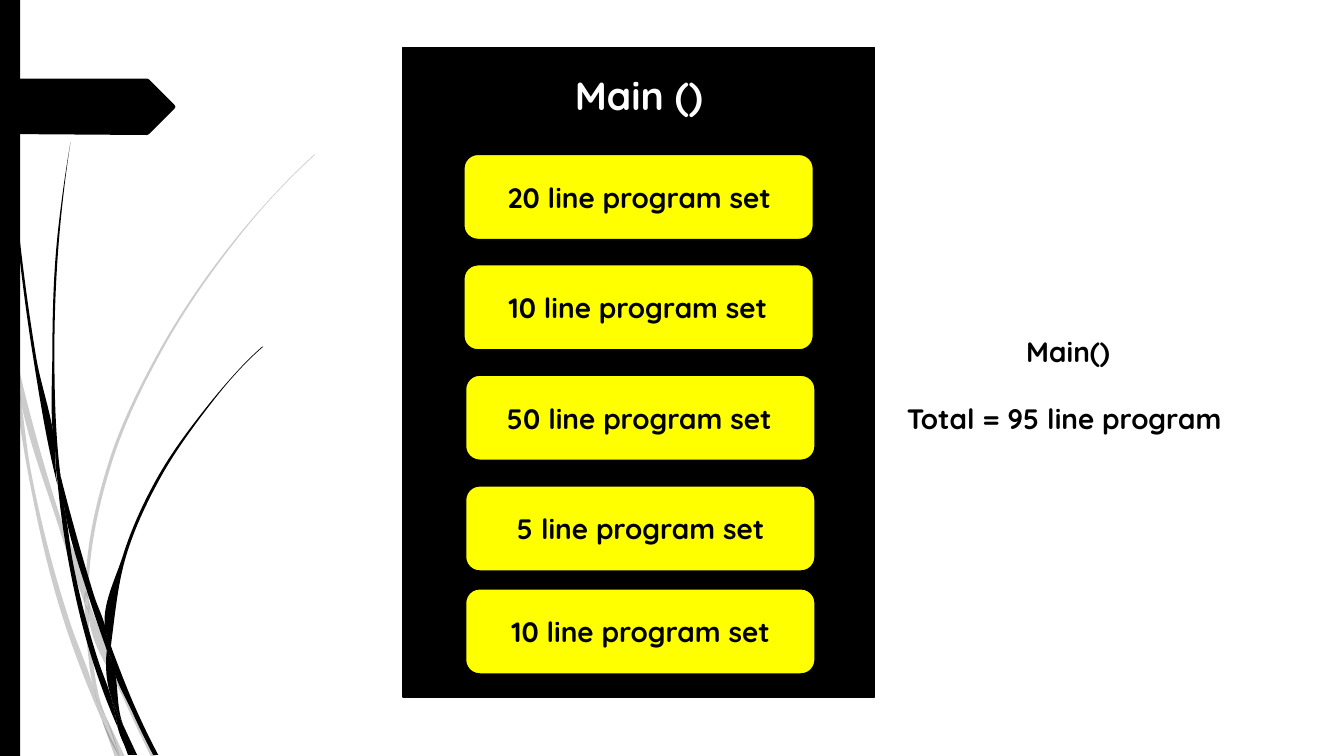
from itertools import chain
from math import dist

from lxml import etree
from pptx import Presentation
from pptx import util as u
from pptx.dml.color import RGBColor
from pptx.enum import shapes, text
from pptx.oxml import ns

WIDTH, HEIGHT = u.Inches(13.33), u.Inches(7.5)
CELL = HEIGHT / 750  # outlines are plotted on a grid of 750 rows
BLACK, WHITE, YELLOW = "000000", "FFFFFF", "FFFF00"
FONT = "Quicksand"

# Program sets: label, card left, card top, label left (percent of the slide)
PROGRAM_SETS = [
    ("20 line program set", 34.5, 20.4, 34.6),
    ("10 line program set", 34.5, 35, 34.5),
    ("50 line program set", 34.63, 49.6, 34.6),
    ("5 line program set", 34.63, 64.25, 34.7),
    ("10 line program set", 34.63, 77.87, 34.7),
]

# Each blade has two edges, both from tip to root, in grid cells
PALE_BLADES = [
    ([(14, 345), (17, 376), (58, 522), (84, 599)],
     [(14, 345), (62, 520), (85, 586), (84, 599)]),
    ([(88, 596), (88, 610), (123, 694), (150, 751)],
     [(88, 596), (92, 607), (127, 692), (155, 751)]),
    ([(105, 711), (119, 751)], [(105, 711), (124, 751)]),
    ([(11, 350), (28, 470), (65, 621), (92, 693), (101, 714)],
     [(11, 350), (17, 376), (31, 469), (70, 619), (93, 683), (99, 707),
      (101, 714)]),
    ([(84, 599), (87, 646), (93, 683), (96, 692), (105, 711)],
     [(84, 599), (88, 608), (88, 610), (91, 646), (103, 706), (105, 711)]),
    ([(312, 153), (289, 175), (268, 197), (228, 244), (158, 348), (107, 461),
      (85, 584), (85, 586), (88, 596)],
     [(312, 154), (290, 175), (268, 198), (229, 245), (160, 349), (110, 462),
      (88, 584), (88, 596)]),
    ([(101, 714), (114, 751)], [(101, 714), (119, 751)]),
    ([(85, 586), (84, 599), (88, 608), (88, 610)],
     [(85, 586), (88, 596), (88, 610)]),
    ([(93, 683), (99, 707), (101, 714), (119, 751)],
     [(93, 683), (96, 692), (105, 711), (119, 751)]),
]
DARK_BLADES = [
    ([(3, 0), (4, 48), (7, 110), (17, 233), (33, 355), (56, 477), (57, 481)],
     [(4, 0), (5, 48), (8, 109), (19, 232), (36, 355), (55, 453), (55, 457),
      (57, 481)]),
    ([(60, 472), (64, 505), (88, 592), (106, 645)],
     [(60, 472), (93, 590), (106, 631), (106, 645)]),
    ([(110, 641), (111, 656), (132, 708), (152, 749)],
     [(110, 641), (113, 649), (136, 706), (157, 749)]),
    ([(57, 477), (68, 557), (93, 659), (111, 708), (117, 722)],
     [(57, 477), (64, 505), (72, 556), (98, 657), (110, 691), (116, 717),
      (117, 722)]),
    ([(70, 141), (62, 193), (56, 245), (52, 349), (55, 449), (60, 472)],
     [(70, 141), (63, 193), (58, 245), (54, 349), (58, 453), (60, 472)]),
    ([(122, 719), (133, 749)], [(122, 719), (136, 749)]),
    ([(55, 449), (55, 453), (57, 477), (64, 505)],
     [(55, 449), (60, 472), (64, 505)]),
    ([(260, 344), (245, 358), (231, 373), (204, 405), (156, 474), (122, 551),
      (106, 631), (110, 641)],
     [(261, 344), (245, 359), (231, 374), (205, 406), (158, 476), (125, 552),
      (111, 633), (110, 641)]),
    ([(117, 722), (127, 749)], [(117, 722), (131, 749)]),
    ([(106, 645), (110, 691), (116, 706), (122, 719)],
     [(106, 645), (109, 651), (111, 656), (121, 716), (122, 719)]),
    ([(106, 631), (106, 645), (109, 651), (111, 656)],
     [(106, 631), (110, 641), (111, 656)]),
    ([(110, 691), (116, 717), (117, 722), (130, 749)],
     [(110, 691), (116, 706), (122, 719), (133, 749)]),
]
POINTER = [(0, 78), (146, 78), (148, 79), (173, 104), (174, 106), (173, 108),
           (148, 133), (146, 134), (0, 133)]


def rgb(value):
    return RGBColor.from_string(value)


def place(left, top, width, height):
    """Turn percentages of the slide into lengths."""
    return (round(WIDTH * left / 100), round(HEIGHT * top / 100),
            round(WIDTH * width / 100), round(HEIGHT * height / 100))


def paint(shape, fill, line=None, opacity=100):
    shape.shadow.inherit = False
    shape.fill.solid()
    shape.fill.fore_color.rgb = rgb(fill)
    if opacity < 100:
        color = shape.fill._xPr.find(".//" + ns.qn("a:srgbClr"))
        etree.SubElement(color, ns.qn("a:alpha"), val=str(opacity * 1000))
    if line:
        shape.line.color.rgb = rgb(line)
        shape.line.width = u.Pt(1.25)
    else:
        shape.line.fill.background()


def add_block(slide, kind, box, fill, line=None):
    paint(slide.shapes.add_shape(kind, *place(*box)), fill, line)


def add_label(slide, lines, box, size=20, color=BLACK, gap=0):
    frame = slide.shapes.add_textbox(*place(*box)).text_frame
    frame.word_wrap = True
    frame.auto_size = text.MSO_AUTO_SIZE.SHAPE_TO_FIT_TEXT
    for index, line in enumerate(lines):
        paragraph = frame.add_paragraph() if index else frame.paragraphs[0]
        paragraph.alignment = text.PP_ALIGN.CENTER
        paragraph.space_before = u.Pt(gap if index else 0)
        run = paragraph.add_run()
        run.text = line
        run.font.name, run.font.size, run.font.bold = FONT, u.Pt(size), True
        run.font.color.rgb = rgb(color)


def add_outline(slide, points, opacity=100):
    corners = [(x * CELL, y * CELL) for x, y in points]
    builder = slide.shapes.build_freeform(*corners[0])
    builder.add_line_segments(corners[1:], close=True)
    outline = builder.convert_to_shape()
    paint(outline, BLACK, opacity=opacity)
    return outline


def slopes(values, lengths):
    """Smooth slope of one coordinate at each knot."""
    chords = [(b - a) / h for a, b, h in zip(values, values[1:], lengths)]
    if len(chords) == 1:
        return chords * 2
    inner = [(h1 * c0 + h0 * c1) / (h0 + h1) for c0, c1, h0, h1
             in zip(chords, chords[1:], lengths, lengths[1:])]
    return [2 * chords[0] - inner[0], *inner, 2 * chords[-1] - inner[-1]]


def bezier(knots):
    """Two control points and an end point for each span between knots."""
    lengths = [dist(a, b) for a, b in zip(knots, knots[1:])]
    tangents = list(zip(*(slopes(axis, lengths) for axis in zip(*knots))))
    for a, b, m, n, h in zip(knots, knots[1:], tangents, tangents[1:], lengths):
        yield tuple(p + s * h / 3 for p, s in zip(a, m))
        yield tuple(p - s * h / 3 for p, s in zip(b, n))
        yield b


def add_blade(slide, near_edge, far_edge, opacity):
    root = [far_edge[-1]] * 3 if near_edge[-1] != far_edge[-1] else []
    points = [near_edge[0],
              *chain(bezier(near_edge), root, bezier(far_edge[::-1]))]
    blade = add_outline(slide, points, opacity)
    spans = list(blade._element.iter(ns.qn("a:lnTo")))
    for first, second, end in zip(spans[::3], spans[1::3], spans[2::3]):
        curve = etree.Element(ns.qn("a:cubicBezTo"))
        first.addprevious(curve)
        for span in (first, second, end):
            curve.append(span[0])
            span.getparent().remove(span)


def add_decoration(slide):
    for blades, opacity in ((PALE_BLADES, 20), (DARK_BLADES, 100)):
        for near_edge, far_edge in blades:
            add_blade(slide, near_edge, far_edge, opacity)
    add_block(slide, shapes.MSO_SHAPE.RECTANGLE, (0, 0, 1.5, 100), BLACK)
    add_outline(slide, POINTER)


def add_program(slide):
    kinds = shapes.MSO_SHAPE
    add_block(slide, kinds.RECTANGLE, (30, 6.3, 35.07, 85.9), BLACK, BLACK)
    add_label(slide, ["Main ()"], (30, 8.75, 35.07, 7.6), size=28, color=WHITE)
    for name, left, top, label_left in PROGRAM_SETS:
        add_block(slide, kinds.ROUNDED_RECTANGLE, (left, top, 26.03, 11.3),
                  YELLOW, BLACK)
        add_label(slide, [name], (label_left, top + 2.8, 25.95, 5.85))


def main():
    deck = Presentation()
    deck.slide_width, deck.slide_height = WIDTH, HEIGHT
    slide = deck.slides.add_slide(deck.slide_layouts[6])
    add_decoration(slide)
    add_program(slide)
    add_label(slide, ["Main()", "Total = 95 line program "],
              (66.5, 43.6, 25.95, 14.8), gap=24)
    deck.save("out.pptx")


if __name__ == "__main__":
    main()
